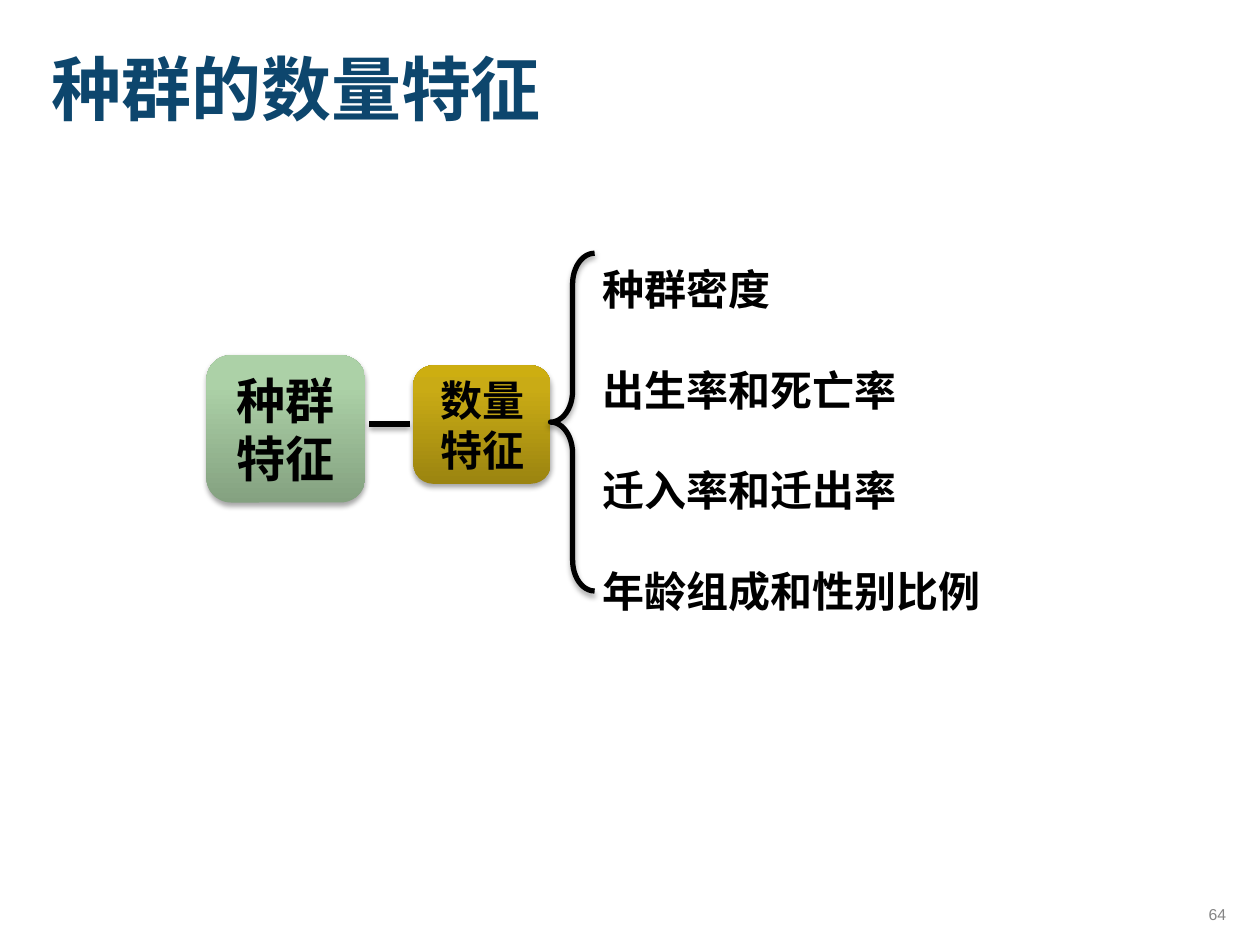
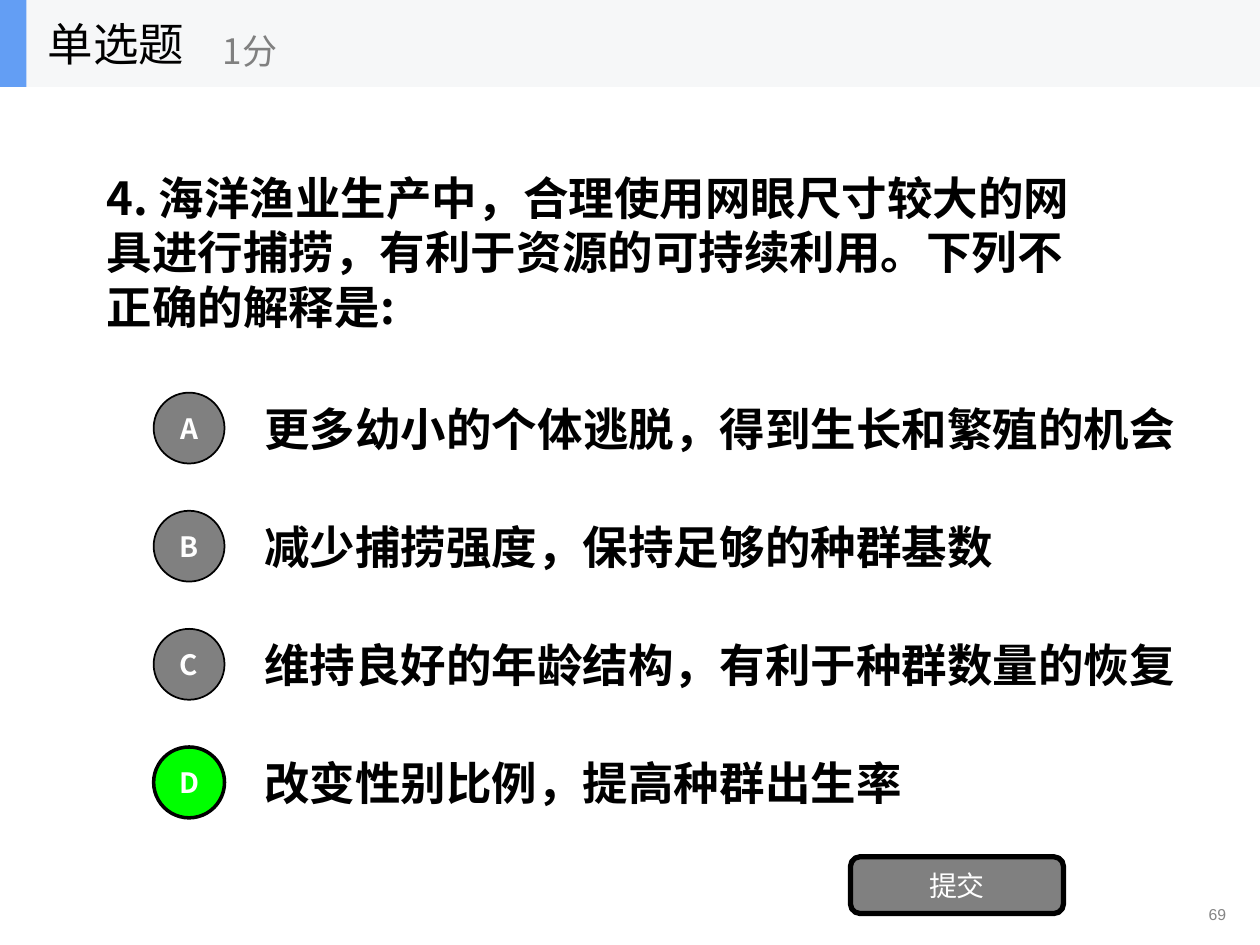
from dataclasses import dataclass

from lxml import etree
from pptx import Presentation
from pptx.dml.color import RGBColor
from pptx.enum.shapes import MSO_CONNECTOR, MSO_SHAPE
from pptx.enum.text import MSO_ANCHOR, MSO_AUTO_SIZE, PP_ALIGN
from pptx.oxml.ns import qn
from pptx.util import Pt

RECT, ROUND, OVAL, BRACE = (MSO_SHAPE.RECTANGLE, MSO_SHAPE.ROUNDED_RECTANGLE,
                            MSO_SHAPE.OVAL, MSO_SHAPE.LEFT_BRACE)
STRAIGHT = MSO_CONNECTOR.STRAIGHT
LEFT, CENTER, RIGHT = PP_ALIGN.LEFT, PP_ALIGN.CENTER, PP_ALIGN.RIGHT
TOP, MIDDLE = MSO_ANCHOR.TOP, MSO_ANCHOR.MIDDLE
GROW, FIXED = MSO_AUTO_SIZE.SHAPE_TO_FIT_TEXT, MSO_AUTO_SIZE.NONE


@dataclass(frozen=True)
class Theme:
    font: str = "Noto Sans CJK SC"
    number_font: str = "Arial"
    # Colours
    ink: str = "000000"
    white: str = "FFFFFF"
    title: str = "0D466D"
    grey: str = "808080"
    page: str = "858585"
    band: str = "F6F7F8"
    accent: str = "639EF4"
    correct: str = "00FF00"
    green: tuple = ((0, "84A180"), (80, "ACD1A7"), (100, "ACD3A7"))
    gold: tuple = ((0, "9B8410"), (80, "C9AB15"), (100, "CDAE11"))
    # Type sizes
    title_size: int = 40
    root_size: int = 28
    question_size: int = 26
    branch_size: int = 24
    score_size: int = 20
    label_size: int = 16
    page_size: int = 9


def points(*values):
    return [Pt(value) for value in values]


def assign(target, values):
    for name, value in values.items():
        setattr(target, name, value)


def add_xml(parent, tag, **attributes):
    return etree.SubElement(parent, qn(tag), attributes)


class Deck:
    def __init__(self, theme):
        self.theme = theme
        self.prs = Presentation()
        assign(self.prs, {"slide_width": Pt(720), "slide_height": Pt(540)})
        self.slide = None

    def new_slide(self, page):
        self.slide = self.prs.slides.add_slide(self.prs.slide_layouts[6])
        self.text(str(page), (563.8, 513.4, 144, 24.5), self.theme.page_size,
                  self.theme.page, align=RIGHT, font=self.theme.number_font)

    def set_text(self, frame, lines, size, color, bold=False, align=LEFT,
                 anchor=TOP, font=None, spacing=None, wrap=True, grow=False):
        assign(frame, {"word_wrap": wrap, "vertical_anchor": anchor,
                       "auto_size": GROW if grow else FIXED})
        font = font or self.theme.font
        for index, line in enumerate(lines):
            paragraph = frame.add_paragraph() if index else frame.paragraphs[0]
            assign(paragraph, {"alignment": align, "line_spacing": spacing})
            run = paragraph.add_run()
            run.text = line
            assign(run.font, {"name": font, "size": Pt(size), "bold": bold})
            run.font.color.rgb = RGBColor.from_string(color)
            add_xml(run.font._element, "a:ea", typeface=font)

    def text(self, lines, box, size, color, **style):
        lines = [lines] if isinstance(lines, str) else lines
        frame = self.slide.shapes.add_textbox(*points(*box)).text_frame
        self.set_text(frame, lines, size, color, **style)

    def outline(self, line, width):
        line.color.rgb = RGBColor.from_string(self.theme.ink)
        line.width = Pt(width)

    def shape(self, kind, box, fill=None, line=0, shadow=False):
        shape = self.slide.shapes.add_shape(kind, *points(*box))
        shape.shadow.inherit = False
        if line:
            self.outline(shape.line, line)
        else:
            shape.line.fill.background()
        if isinstance(fill, str):
            shape.fill.solid()
            shape.fill.fore_color.rgb = RGBColor.from_string(fill)
        elif fill:
            self.gradient(shape, fill)
        else:
            shape.fill.background()
        if shadow:
            self.cast_shadow(shape._element.spPr.find(qn("a:effectLst")))
        return shape

    def label(self, kind, box, text, size, color, bold=True, **look):
        shape = self.shape(kind, box, **look)
        self.set_text(shape.text_frame, [text], size, color, bold=bold,
                      align=CENTER, anchor=MIDDLE)

    def line(self, start, end, width):
        link = self.slide.shapes.add_connector(STRAIGHT, *points(*start, *end))
        self.outline(link.line, width)
        self.cast_shadow(add_xml(link._element.spPr, "a:effectLst"))

    def gradient(self, shape, stops):
        gradient = etree.Element(qn("a:gradFill"), rotWithShape="1")
        stop_list = add_xml(gradient, "a:gsLst")
        for position, color in stops:
            stop = add_xml(stop_list, "a:gs", pos=str(position * 1000))
            add_xml(stop, "a:srgbClr", val=color)
        add_xml(gradient, "a:lin", ang="16200000", scaled="0")
        shape._element.spPr.find(qn("a:prstGeom")).addnext(gradient)

    def cast_shadow(self, effects):
        shadow = add_xml(effects, "a:outerShdw", blurRad=str(Pt(3.1)),
                         dist=str(Pt(1.8)), dir="5400000", rotWithShape="0")
        color = add_xml(shadow, "a:srgbClr", val=self.theme.ink)
        add_xml(color, "a:alpha", val="35000")


def build_traits(deck):
    theme = deck.theme
    deck.new_slide(64)
    deck.text("种群的数量特征", (22.3, 22.3, 297.4, 55.4), theme.title_size,
              theme.title, bold=True, wrap=False, grow=True)

    # Root and branch
    deck.label(ROUND, (118, 203, 90.7, 84.2), "种群特征", theme.root_size,
               theme.ink, fill=theme.green, shadow=True)
    deck.line((211, 242.3), (234, 242.3), 3)
    deck.label(ROUND, (236.2, 208.8, 78.5, 67.7), "数量特征", theme.branch_size,
               theme.ink, fill=theme.gold, shadow=True)

    # Brace and the traits it gathers
    brace = deck.shape(BRACE, (314.6, 144.7, 25.2, 193), line=3, shadow=True)
    brace.adjustments[0] = 0.7
    traits = ["种群密度", "出生率和死亡率", "迁入率和迁出率", "年龄组成和性别比例"]
    deck.text(traits, (337, 118.1, 232.6, 239.8), theme.branch_size, theme.ink,
              bold=True, spacing=2.0, wrap=False, grow=True)


def build_question(deck):
    theme = deck.theme
    deck.new_slide(69)

    # Header band
    band_height = 49.7
    deck.shape(RECT, (0, 0, 720, band_height), fill=theme.band)
    deck.shape(RECT, (0, 0, 15.1, band_height), fill=theme.accent)
    deck.text("单选题", (20.2, 0, 149.8, band_height), theme.question_size,
              theme.ink, anchor=MIDDLE, wrap=False)
    deck.text("1分", (120.2, 8.6, 180, 40.3), theme.score_size, theme.grey,
              anchor=MIDDLE, wrap=False)

    # Question
    deck.text("4. 海洋渔业生产中，合理使用网眼尺寸较大的网具进行捕捞，"
              "有利于资源的可持续利用。下列不正确的解释是:",
              (54, 90, 576, 107.3), theme.question_size, theme.ink,
              bold=True, anchor=MIDDLE)

    # Answers, one row each
    answers = [("A", "更多幼小的个体逃脱，得到生长和繁殖的机会", 566),
               ("B", "减少捕捞强度，保持足够的种群基数", 504),
               ("C", "维持良好的年龄结构，有利于种群数量的恢复", 545),
               ("D", "改变性别比例，提高种群出生率", 504)]
    first_top, pitch, row_height, badge = 219.4, 67.5, 50.4, 40.5
    for row, (letter, answer, width) in enumerate(answers):
        top = first_top + row * pitch
        is_correct = letter == "D"
        deck.text(answer, (144, top, width, row_height), theme.question_size,
                  theme.ink, bold=True, anchor=MIDDLE)
        deck.label(OVAL, (87.8, top + (row_height - badge) / 2, badge, badge),
                   letter, theme.label_size, theme.white,
                   fill=theme.correct if is_correct else theme.grey,
                   line=2 if is_correct else 1)

    # Submit button
    deck.label(ROUND, (486, 489.6, 121.7, 32.4), "提交", theme.label_size,
               theme.white, bold=False, fill=theme.grey, line=3)


def main():
    deck = Deck(Theme())
    build_traits(deck)
    build_question(deck)
    deck.prs.save("out.pptx")


if __name__ == "__main__":
    main()
